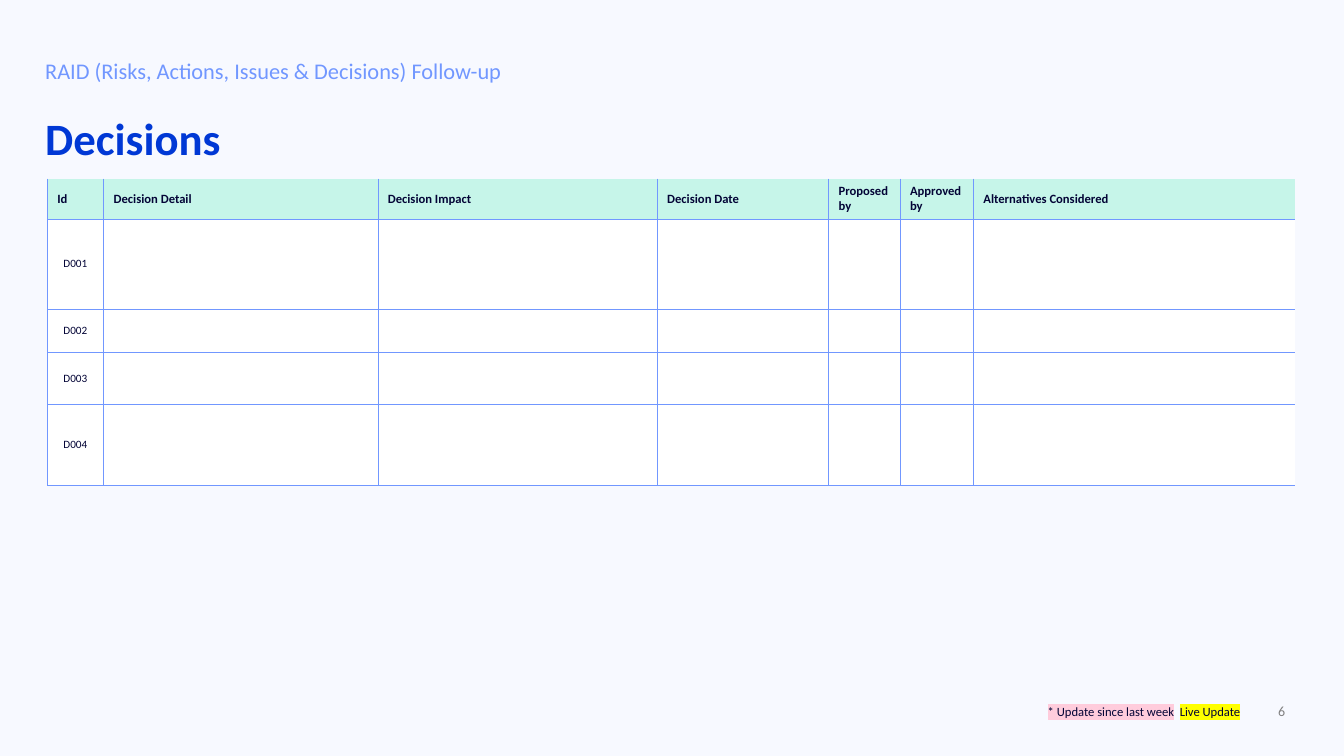
from dataclasses import dataclass

from lxml.etree import SubElement
from pptx import Presentation
from pptx.dml.color import RGBColor as RGB
from pptx.enum.text import MSO_ANCHOR as ANCHOR, MSO_AUTO_SIZE as FIT, PP_ALIGN as ALIGN
from pptx.oxml import parse_xml
from pptx.oxml.ns import nsdecls, qn
from pptx.util import Cm, Pt


@dataclass(frozen=True)
class Theme:
    font: str = "Calibri"
    background: str = "F7F9FF"
    title: str = "0038D5"
    accent: str = "7197FF"
    ink: str = "030436"
    muted: str = "808080"
    header_fill: str = "C6F5E9"
    body_fill: str = "FFFFFF"
    updated: str = "FFCCDC"
    live: str = "FFFF00"
    title_size: float = 32
    subtitle_size: float = 16
    number_size: float = 10
    label_size: float = 9
    id_size: float = 8
    border: float = 0.25


HEADERS = ["Id", "Decision Detail", "Decision Impact", "Decision Date",
           "Proposed by", "Approved by", "Alternatives Considered"]
DECISION_IDS = ["D001", "D002", "D003", "D004"]
COLUMN_WIDTHS = [1.42, 6.91, 7.04, 4.32, 1.8, 1.85, 8.1]
ROW_HEIGHTS = [0.97, 2.26, 1.09, 1.32, 2.03]


class SlideBuilder:
    def __init__(self, slide, theme):
        self.slide = slide
        self.theme = theme

    def background(self):
        fill = self.slide.background.fill
        fill.solid()
        fill.fore_color.rgb = RGB.from_string(self.theme.background)

    def style(self, p, size, color, bold=False, align=ALIGN.LEFT):
        p.alignment = align
        p.font.name = self.theme.font
        p.font.size = Pt(size)
        p.font.bold = bold
        p.font.color.rgb = RGB.from_string(color)

    def text(self, box, content, size, color, bold=False, align=ALIGN.LEFT,
             anchor=ANCHOR.TOP, inset=0.25, fit=FIT.NONE):
        """Add a one-paragraph text box and return its paragraph."""
        sp = self.slide.shapes.add_textbox(*map(Cm, box))
        tf = sp.text_frame
        tf.word_wrap = True
        tf.auto_size = fit
        tf.vertical_anchor = anchor
        tf.margin_left = Cm(inset)
        p = tf.paragraphs[0]
        p.text = content
        self.style(p, size, color, bold, align)
        return p

    def highlighted_run(self, p, content, color):
        r = p.add_run()
        r.text = content
        mark = SubElement(r._r.get_or_add_rPr(), qn("a:highlight"))
        SubElement(mark, qn("a:srgbClr")).set("val", color)

    def spacer(self, p, extra):
        """Add a space widened by extra points."""
        r = p.add_run()
        r.text = " "
        r._r.get_or_add_rPr().set("spc", str(int(extra * 100)))

    def borders(self, cell, sides):
        """Rule the given sides (out of LRTB) and clear the others."""
        tc_pr = cell._tc.get_or_add_tcPr()
        line_fill = f'<a:solidFill><a:srgbClr val="{self.theme.accent}"/></a:solidFill>'
        for i, side in enumerate("LRTB"):
            fill = line_fill if side in sides else "<a:noFill/>"
            tc_pr.insert(i, parse_xml(
                f'<a:ln{side} {nsdecls("a")} w="{Pt(self.theme.border)}">{fill}</a:ln{side}>'))

    def table(self, left, top, widths, heights, rows):
        t = self.theme
        frame = self.slide.shapes.add_table(
            len(heights), len(widths), Cm(left), Cm(top), Cm(sum(widths)), Cm(sum(heights)))
        table = frame.table
        table.first_row = table.horz_banding = False
        for column, width in zip(table.columns, widths):
            column.width = Cm(width)
        for i, (row, height, values) in enumerate(zip(table.rows, heights, rows)):
            row.height = Cm(height)
            header = i == 0
            for j, (cell, value) in enumerate(zip(row.cells, values)):
                cell.vertical_anchor = ANCHOR.MIDDLE
                cell.fill.solid()
                cell.fill.fore_color.rgb = RGB.from_string(
                    t.header_fill if header else t.body_fill)
                p = cell.text_frame.paragraphs[0]
                p.text = value
                self.style(p, t.label_size if header else t.id_size, t.ink, header,
                           ALIGN.LEFT if header else ALIGN.CENTER)
                last = j == len(widths) - 1
                self.borders(cell, "LB" + ("" if header else "T") + ("" if last else "R"))


def main():
    prs = Presentation()
    prs.slide_width, prs.slide_height = Cm(33.87), Cm(19.05)
    t = Theme()
    s = SlideBuilder(prs.slides.add_slide(prs.slide_layouts[6]), t)

    s.background()
    s.text((1.14, 2.67, 31.5, 1.65), "Decisions", t.title_size, t.title,
           bold=True, inset=0, fit=FIT.SHAPE_TO_FIT_TEXT)
    s.text((25.02, 17.58, 7.62, 0.69), "6", t.number_size, t.muted,
           align=ALIGN.RIGHT, anchor=ANCHOR.MIDDLE, fit=FIT.SHAPE_TO_FIT_TEXT)
    subtitle = s.text((1.14, 1.19, 31.5, 1.09),
                      "RAID (Risks, Actions, Issues & Decisions) Follow-up",
                      t.subtitle_size, t.accent, inset=0)
    subtitle.line_spacing = 1.2
    subtitle.space_before, subtitle.space_after = Pt(10), Pt(6)

    blanks = [""] * (len(HEADERS) - 1)
    s.table(1.19, 4.5, COLUMN_WIDTHS, ROW_HEIGHTS,
            [HEADERS] + [[decision_id] + blanks for decision_id in DECISION_IDS])

    legend = s.text((25.45, 17.22, 6.76, 1.4), "", t.label_size, t.ink,
                    align=ALIGN.CENTER, anchor=ANCHOR.MIDDLE)
    s.highlighted_run(legend, "* Update since last week", t.updated)
    s.spacer(legend, 2)
    s.highlighted_run(legend, "Live Update", t.live)

    prs.save("out.pptx")


if __name__ == "__main__":
    main()
